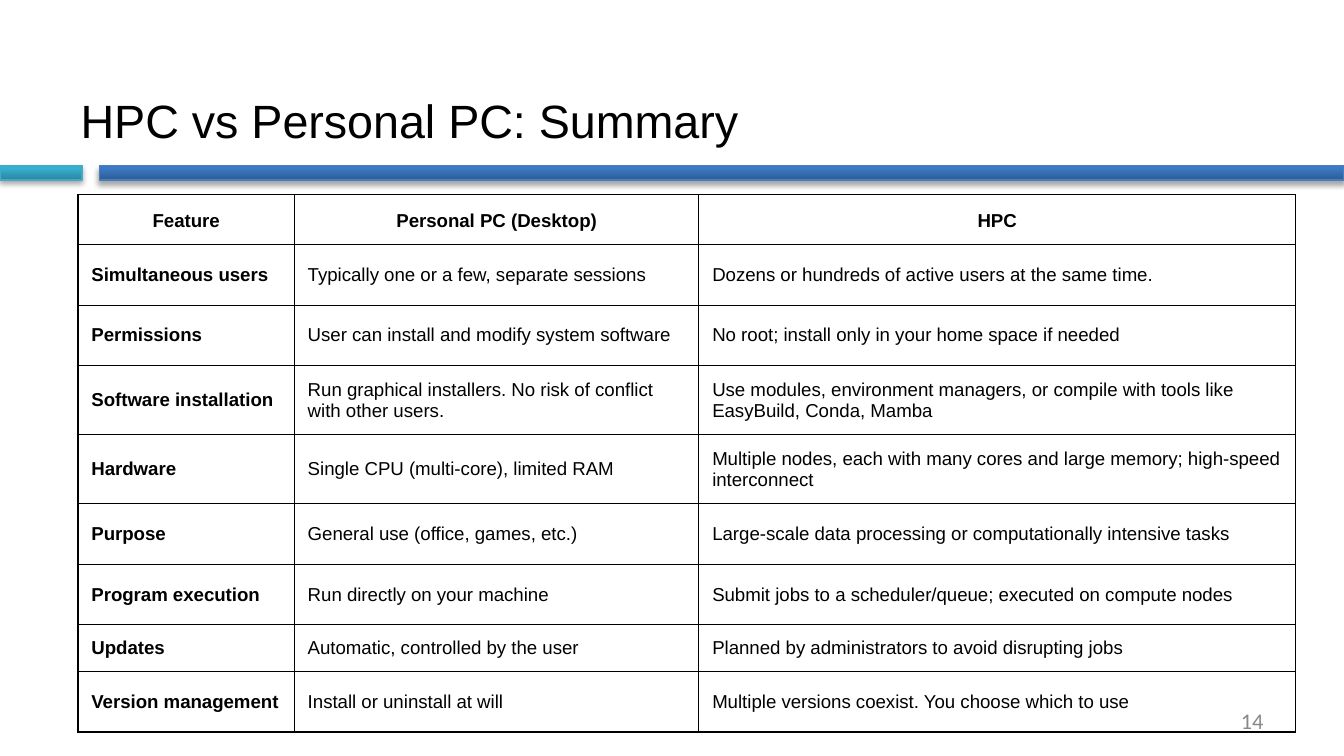
from lxml.etree import SubElement
from pptx import Presentation
from pptx.dml.color import RGBColor
from pptx.enum.shapes import MSO_SHAPE
from pptx.enum.text import MSO_ANCHOR, MSO_AUTO_SIZE, PP_ALIGN
from pptx.oxml.ns import qn
from pptx.util import Inches, Pt

BLACK = RGBColor(0x00, 0x00, 0x00)
GREY = RGBColor(0x88, 0x88, 0x88)
BLUE_STOPS = ((0, RGBColor(0x2D, 0x5C, 0x97)), (80, RGBColor(0x3C, 0x7A, 0xC5)),
              (100, RGBColor(0x39, 0x7B, 0xC9)))
BLUE_LINE = RGBColor(0x4A, 0x7D, 0xBA)
TEAL_STOPS = ((0, RGBColor(0x29, 0x85, 0x9E)), (80, RGBColor(0x36, 0xB0, 0xD0)),
              (100, RGBColor(0x33, 0xB3, 0xD5)))
TEAL_LINE = RGBColor(0x45, 0xA9, 0xC4)

SLIDE_WIDTH = 10
SLIDE_HEIGHT = SLIDE_WIDTH * 9 / 16
COLUMN_WIDTHS = (1.61, 3.01, 4.44)
# Least heights: a row grows with its text
HEADER_HEIGHT, ROW_HEIGHT, SHORT_ROW = 0.3, 0.45, 0.29

HEADINGS = ("Feature", "Personal PC (Desktop)", "HPC")
COMPARISON = (
    (ROW_HEIGHT, "Simultaneous users", "Typically one or a few, separate sessions",
     "Dozens or hundreds of active users at the same time."),
    (ROW_HEIGHT, "Permissions", "User can install and modify system software",
     "No root; install only in your home space if needed"),
    (ROW_HEIGHT, "Software installation",
     "Run graphical installers. No risk of conflict with other users.",
     "Use modules, environment managers, or compile with tools like EasyBuild, Conda, Mamba"),
    (ROW_HEIGHT, "Hardware", "Single CPU (multi-core), limited RAM",
     "Multiple nodes, each with many cores and large memory; high-speed interconnect"),
    (ROW_HEIGHT, "Purpose", "General use (office, games, etc.)",
     "Large-scale data processing or computationally intensive tasks"),
    (ROW_HEIGHT, "Program execution", "Run directly on your machine",
     "Submit jobs to a scheduler/queue; executed on compute nodes"),
    (SHORT_ROW, "Updates", "Automatic, controlled by the user",
     "Planned by administrators to avoid disrupting jobs"),
    (ROW_HEIGHT, "Version management", "Install or uninstall at will",
     "Multiple versions coexist. You choose which to use"),
)


def write_text(frame, text, size=10, font="Arial", color=BLACK, bold=False,
               align=PP_ALIGN.LEFT, spacing=None):
    frame.word_wrap = True
    frame.vertical_anchor = MSO_ANCHOR.MIDDLE
    paragraph = frame.paragraphs[0]
    paragraph.alignment = align
    if spacing:
        paragraph.line_spacing = spacing
    run = paragraph.add_run()
    run.text = text
    run.font.size = Pt(size)
    run.font.name = font
    run.font.bold = bold
    run.font.color.rgb = color


def add_bar(slide, box, stops, line_color):
    shape = slide.shapes.add_shape(MSO_SHAPE.RECTANGLE, *map(Inches, box))
    shape.fill.gradient()
    shape.fill.gradient_angle = 90
    properties = shape._element.spPr
    # Three gradient stops, dark at the bottom
    stop_list = properties.find(qn("a:gradFill")).find(qn("a:gsLst"))
    for stop in list(stop_list):
        stop_list.remove(stop)
    for position, color in stops:
        stop = SubElement(stop_list, qn("a:gs"), pos=str(position * 1000))
        SubElement(stop, qn("a:srgbClr"), val=str(color))
    shape.line.color.rgb = line_color
    shape.line.width = Pt(0.75)
    # Soft shadow below the bar
    shape.shadow.inherit = False
    shadow = SubElement(properties.find(qn("a:effectLst")), qn("a:outerShdw"),
                        blurRad=str(Pt(3.1)), dist=str(Pt(1.8)), dir="5400000",
                        rotWithShape="0")
    shadow_color = SubElement(shadow, qn("a:srgbClr"), val=str(BLACK))
    SubElement(shadow_color, qn("a:alpha"), val="35000")


def add_divider(slide, box, short_width=0.61, gap=0.13):
    left, top, width, height = box
    long_left = left + short_width + gap
    add_bar(slide, (long_left, top, left + width - long_left, height), BLUE_STOPS, BLUE_LINE)
    add_bar(slide, (left, top, short_width, height), TEAL_STOPS, TEAL_LINE)


def add_page_number(slide, box, number):
    text_box = slide.shapes.add_textbox(*map(Inches, box))
    write_text(text_box.text_frame, number, size=12, font="Calibri", color=GREY,
               align=PP_ALIGN.RIGHT)


def format_cell(cell):
    cell.margin_left = cell.margin_right = Inches(0.1)
    cell.margin_top = cell.margin_bottom = Inches(0.09)
    cell.vertical_anchor = MSO_ANCHOR.MIDDLE
    cell.fill.background()
    properties = cell._tc.get_or_add_tcPr()
    for index, side in enumerate(("a:lnL", "a:lnR", "a:lnT", "a:lnB")):
        border = SubElement(properties, qn(side), w=str(Pt(0.75)))
        fill = SubElement(border, qn("a:solidFill"))
        SubElement(fill, qn("a:srgbClr"), val=str(BLACK))
        properties.insert(index, border)


def add_comparison_table(slide, left, top):
    heights = [HEADER_HEIGHT] + [row[0] for row in COMPARISON]
    rows = [HEADINGS] + [row[1:] for row in COMPARISON]
    frame = slide.shapes.add_table(len(rows), len(COLUMN_WIDTHS), Inches(left), Inches(top),
                                   Inches(sum(COLUMN_WIDTHS)), Inches(sum(heights)))
    table = frame.table
    table.first_row = table.horz_banding = False
    for column, width in zip(table.columns, COLUMN_WIDTHS):
        column.width = Inches(width)
    for row_index, (height, texts) in enumerate(zip(heights, rows)):
        table.rows[row_index].height = Inches(height)
        is_header = row_index == 0
        for column_index, text in enumerate(texts):
            cell = table.cell(row_index, column_index)
            write_text(cell.text_frame, text, bold=is_header or column_index == 0,
                       align=PP_ALIGN.CENTER if is_header else PP_ALIGN.LEFT,
                       spacing=1.15 if is_header else None)
            format_cell(cell)


def place_title(slide, box, text):
    title = slide.shapes.title
    title.left, title.top, title.width, title.height = map(Inches, box)
    title.text_frame.auto_size = MSO_AUTO_SIZE.NONE
    write_text(title.text_frame, text, size=25)


def main():
    presentation = Presentation()
    presentation.slide_width = Inches(SLIDE_WIDTH)
    presentation.slide_height = Inches(SLIDE_HEIGHT)
    slide = presentation.slides.add_slide(presentation.slide_layouts[5])
    margin = SLIDE_WIDTH * 0.05

    place_title(slide, (margin, 0.57, SLIDE_WIDTH - 2 * margin, 0.65),
                "HPC vs Personal PC: Summary")
    add_divider(slide, (0, 1.23, SLIDE_WIDTH, 0.11))
    add_page_number(slide, (7.17, 5.21, SLIDE_WIDTH - margin - 7.17, 0.3), "14")
    add_comparison_table(slide, 0.58, 1.45)
    presentation.save("out.pptx")


if __name__ == "__main__":
    main()
